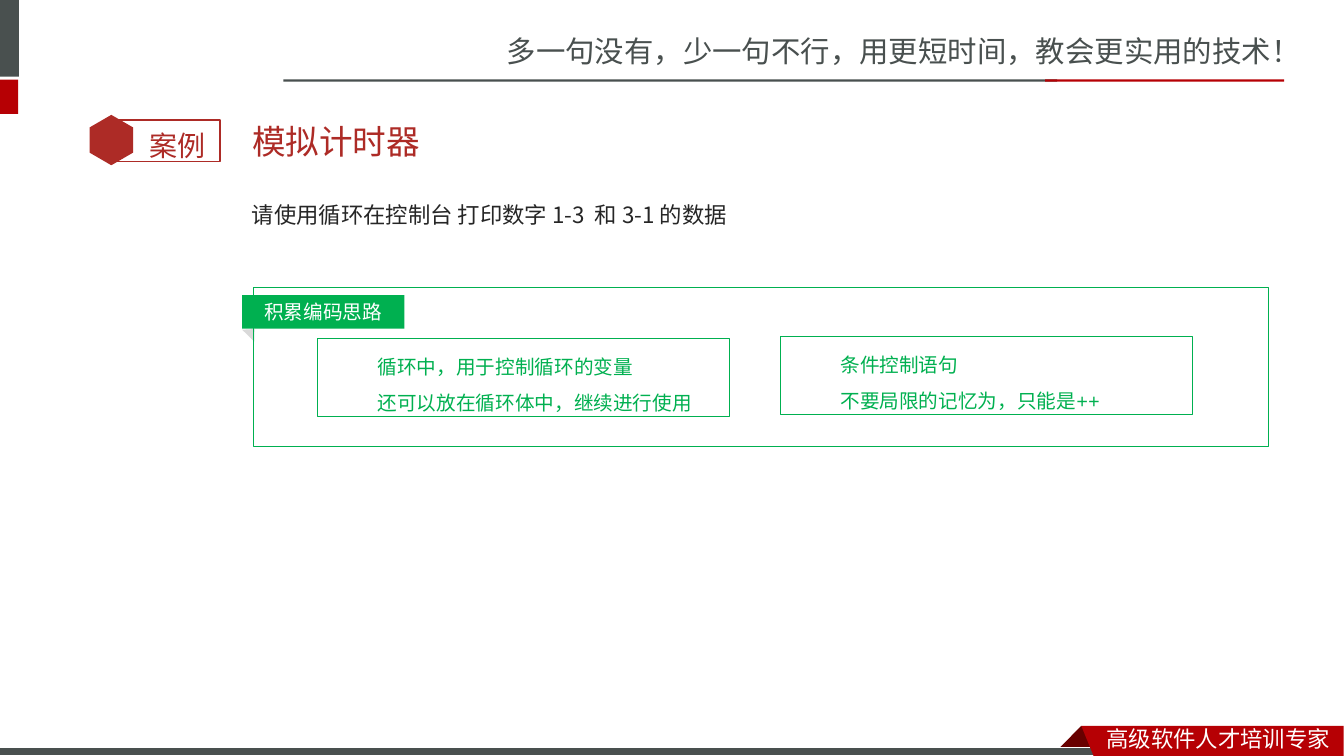
from dataclasses import dataclass
from typing import Optional

import pptx
import pptx.dml.color
import pptx.enum.shapes
import pptx.enum.text
import pptx.oxml.ns
import pptx.util
from lxml import etree

Cm = pptx.util.Cm
RGBColor = pptx.dml.color.RGBColor
Preset = pptx.enum.shapes.MSO_SHAPE
Align = pptx.enum.text.PP_ALIGN
Anchor = pptx.enum.text.MSO_ANCHOR

GREY = RGBColor(0x49, 0x50, 0x4F)
RED = RGBColor(0xB6, 0x00, 0x04)
DARK_RED = RGBColor(0x68, 0x00, 0x00)
BRICK = RGBColor(0xAD, 0x2B, 0x26)
GREEN = RGBColor(0x00, 0xB0, 0x50)
INK = RGBColor(0x26, 0x26, 0x26)
PALE = RGBColor(0xD9, 0xD9, 0xD9)
WHITE = RGBColor(0xFF, 0xFF, 0xFF)


@dataclass(frozen=True)
class Place:
    """Left, top, width and height in centimetres."""
    left: float
    top: float
    width: float
    height: float

    def lengths(self) -> tuple:
        return Cm(self.left), Cm(self.top), Cm(self.width), Cm(self.height)


@dataclass(frozen=True)
class Lettering:
    font: str
    size: int
    color: RGBColor
    spacing: float = 1.0
    align: Align = Align.LEFT
    anchor: Anchor = Anchor.TOP
    level: int = 0


@dataclass(frozen=True)
class Block:
    place: Place
    fill: Optional[RGBColor] = None
    line: Optional[RGBColor] = None
    line_width: float = 0.75
    preset: Preset = Preset.RECTANGLE
    rotation: float = 0


@dataclass(frozen=True)
class Label:
    place: Place
    text: str
    lettering: Lettering


HEADER_AND_FOOTER = [
    Block(Place(0, 0, 0.48, 1.93), GREY),
    Block(Place(0, 2.01, 0.46, 0.86), RED),
    Block(Place(7.14, 2, 19.5, 0.06), GREY),
    Block(Place(26.34, 2, 6.02, 0.06), RED),
    Block(Place(0, 18.83, 27.92, 0.22), GREY, WHITE),
]
CASE_BADGE = [
    Block(Place(2.77, 3.02, 2.78, 1.05), line=BRICK, line_width=1),
    Block(Place(2.17, 2.98, 1.27, 1.1), BRICK, preset=Preset.HEXAGON, rotation=90),
]
IDEA_PANEL = [
    Block(Place(6.12, 8.26, 0.43, 0.23), PALE,
          preset=Preset.ISOSCELES_TRIANGLE, rotation=44.2),
    Block(Place(6.38, 7.24, 25.6, 4.02), line=GREEN),
]
IDEA_TAG = Block(Place(6.1, 7.44, 4.09, 0.84), GREEN)
IDEA_CARDS = [
    (Block(Place(8, 8.53, 10.39, 1.96), line=GREEN),
     "循环中，用于控制循环的变量\n还可以放在循环体中，继续进行使用"),
    (Block(Place(19.66, 8.48, 10.39, 1.96), line=GREEN),
     "条件控制语句\n不要局限的记忆为，只能是++"),
]
LABELS = [
    Label(Place(12.52, 0.71, 21.34, 1.19), "多一句没有，少一句不行，用更短时间，教会更实用的技术！",
          Lettering("Noto Sans CJK SC", 21, GREY)),
    Label(Place(27.64, 18.16, 6.22, 0.89), "高级软件人才培训专家",
          Lettering("Noto Sans CJK SC", 16, WHITE)),
    Label(Place(3.51, 2.69, 2.16, 1.42), "案例", Lettering("Lato", 20, BRICK, 1.5)),
    Label(Place(6.1, 4.6, 25.6, 1.5), "请使用循环在控制台 打印数字 1-3  和 3-1 的数据",
          Lettering("Noto Sans CJK JP", 16, INK, 1.5)),
]
TITLE = Label(Place(6.1, 2.82, 25.6, 1.45), "模拟计时器",
              Lettering("Arial", 24, BRICK, anchor=Anchor.MIDDLE))
TAG_LETTERING = Lettering("Lato", 14, WHITE, align=Align.CENTER, anchor=Anchor.MIDDLE)
CARD_LETTERING = Lettering("Courier New", 14, GREEN, 1.5, level=1)
BANNER_FOLD = [(27.25, 18.29), (27.81, 18.85), (27.79, 18.87), (26.72, 18.87), (26.7, 18.85)]
BANNER = [(27.25, 18.29), (33.86, 18.29), (33.86, 19.05), (27.56, 19.05)]


def write(shape, text: str, lettering: Lettering) -> None:
    frame = shape.text_frame
    frame.text = text
    frame.word_wrap = True
    frame.auto_size = pptx.enum.text.MSO_AUTO_SIZE.NONE
    frame.vertical_anchor = lettering.anchor
    for para in frame.paragraphs:
        para.level = lettering.level
        para.alignment = lettering.align
        para.line_spacing = lettering.spacing
        for span in para.runs:
            span.font.size = pptx.util.Pt(lettering.size)
            span.font.color.rgb = lettering.color
            span.font.name = lettering.font
            east_asian = etree.SubElement(span.font._element, pptx.oxml.ns.qn("a:ea"))
            east_asian.set("typeface", lettering.font)


def add_block(page, block: Block):
    shape = page.shapes.add_shape(block.preset, *block.place.lengths())
    shape.shadow.inherit = False
    shape.rotation = block.rotation
    if block.preset == Preset.HEXAGON:
        shape.adjustments[0] = 0.29
    if block.fill is None:
        shape.fill.background()
    else:
        shape.fill.solid()
        shape.fill.fore_color.rgb = block.fill
    if block.line is None:
        shape.line.fill.background()
    else:
        shape.line.color.rgb = block.line
        shape.line.width = pptx.util.Pt(block.line_width)
    return shape


def add_outline(page, corners: list, color: RGBColor) -> None:
    points = [(Cm(x), Cm(y)) for x, y in corners]
    builder = page.shapes.build_freeform(*points[0])
    builder.add_line_segments(points[1:], close=True)
    shape = builder.convert_to_shape()
    shape.shadow.inherit = False
    shape.fill.solid()
    shape.fill.fore_color.rgb = color
    shape.line.fill.background()


def add_title(page, label: Label) -> None:
    title = page.shapes.title
    title.left, title.top, title.width, title.height = label.place.lengths()
    write(title, label.text, label.lettering)


def main() -> None:
    deck = pptx.Presentation()
    deck.slide_width, deck.slide_height = Cm(33.87), Cm(19.05)
    page = deck.slides.add_slide(deck.slide_layouts.get_by_name("Title Only"))
    add_title(page, TITLE)
    add_outline(page, BANNER_FOLD, DARK_RED)
    for block in HEADER_AND_FOOTER + CASE_BADGE + IDEA_PANEL:
        add_block(page, block)
    add_outline(page, BANNER, RED)
    write(add_block(page, IDEA_TAG), "积累编码思路", TAG_LETTERING)
    for card, text in IDEA_CARDS:
        write(add_block(page, card), text, CARD_LETTERING)
    for label in LABELS:
        box = page.shapes.add_textbox(*label.place.lengths())
        write(box, label.text, label.lettering)
    deck.save("out.pptx")


if __name__ == "__main__":
    main()
